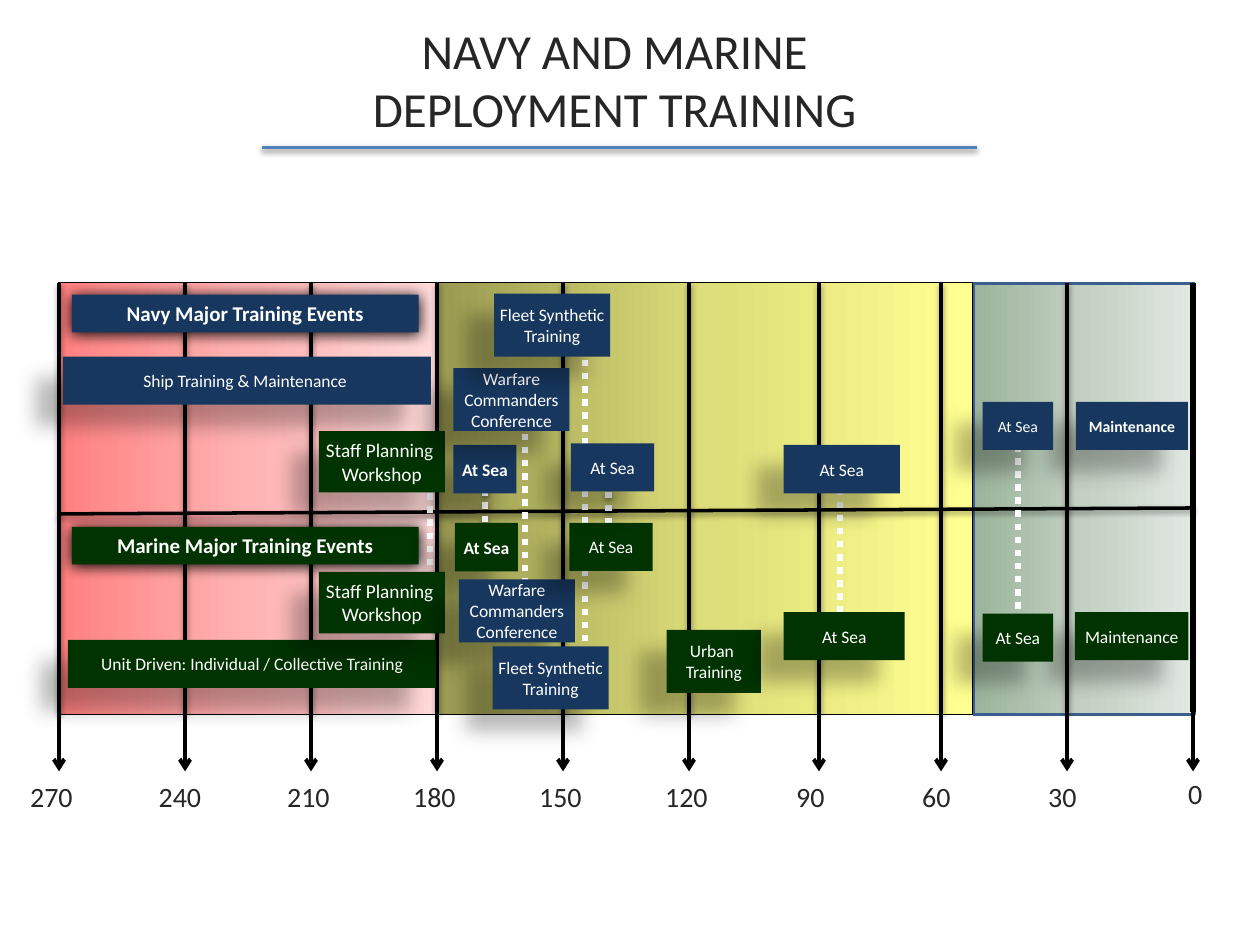
from copy import deepcopy

from lxml.etree import SubElement
from pptx import Presentation
from pptx.dml.color import RGBColor
from pptx.enum.dml import MSO_LINE
from pptx.enum.shapes import MSO_CONNECTOR, MSO_SHAPE
from pptx.enum.text import MSO_ANCHOR as ANCHOR, MSO_AUTO_SIZE as FIT, PP_ALIGN as ALIGN
from pptx.oxml.ns import qn
from pptx.util import Cm, Pt

# Content; all lengths in cm
TITLE = ["NAVY AND MARINE ", "DEPLOYMENT TRAINING "]
NAVY, MARINE = "17375E", "003300"
BLACK, WHITE, INK, RULE = "000000", "FFFFFF", "262626", "4F81BD"

# left, top, width, height, gradient, outline, outline width
PHASES = [
    (19.63, 5.72, 4.45, 8.69, ("9BB49B", "C3D0C3", "E2E8E2"), "3A5F8C", 2),
    (8.84, 5.69, 10.77, 8.71, ("9A9A52", "DDDD79", "FFFF91"), BLACK, 0.75),
    (1.19, 5.69, 7.62, 8.71, ("FF8080", "FFB3B3", "FFDADA"), BLACK, 0.75),
]

# Days before deployment: label, label left
DAYS = [("270", 0.36), ("240", 2.95), ("210", 5.54), ("180", 8.08), ("150", 10.62),
        ("120", 13.16), ("90", 15.8), ("60", 18.34), ("30", 20.88), ("0", 23.7)]
DAY_LEFT, DAY_STEP = 1.19, 2.54
DAY_SHIFT = {"90": 0.08}
LABEL_TOP = {"0": 15.52}

BANNERS = [("Navy Major Training Events", 5.94, NAVY),
           ("Marine Major Training Events", 10.62, MARINE)]

# Navy-Marine links: x, top, bottom, shadow
LINKS = [(9.78, 9.6, 10.87, True), (8.67, 9.68, 11.58, False),
         (12.27, 9.65, 10.92, True), (10.58, 8.48, 11.86, False),
         (11.79, 6.99, 13.13, False), (16.93, 9.32, 12.7, False),
         (20.52, 8.97, 12.34, False)]

STAFF = ["Staff Planning ", "Workshop"]
WARFARE = ["Warfare", "Commanders", "Conference"]
FLEET = ["Fleet Synthetic", "Training"]
SEA, MAINTENANCE = ["At Sea"], ["Maintenance"]

# lines, service colour, left, top, width, height, size, bold
EVENTS = [
    (["Urban ", "Training"], MARINE, 13.44, 12.7, 1.9, 1.27, 10, False),
    (["Unit Driven: Individual / Collective Training"], MARINE,
     1.37, 12.9, 7.42, 0.97, 10, False),
    (MAINTENANCE, NAVY, 21.69, 8.1, 2.26, 0.97, 9, True),
    (MAINTENANCE, MARINE, 21.67, 12.34, 2.29, 0.97, 10, False),
    (SEA, NAVY, 9.14, 8.97, 1.27, 0.98, 10, True),
    (SEA, MARINE, 9.17, 10.54, 1.27, 0.98, 10, True),
    (STAFF, MARINE, 6.43, 8.69, 2.54, 1.24, 11, False),
    (STAFF, MARINE, 6.43, 11.53, 2.54, 1.24, 11, False),
    (WARFARE, NAVY, 9.14, 7.42, 2.34, 1.27, 10, False),
    (WARFARE, NAVY, 9.25, 11.68, 2.34, 1.27, 10, False),
    (FLEET, NAVY, 9.93, 13.03, 2.34, 1.27, 10, False),
    (SEA, MARINE, 11.48, 10.54, 1.68, 0.97, 10, False),
    (SEA, NAVY, 11.51, 8.94, 1.68, 0.97, 10, False),
    (FLEET, NAVY, 9.96, 5.92, 2.34, 1.27, 10, False),
    (SEA, NAVY, 15.8, 8.97, 2.34, 0.98, 10, False),
    (SEA, MARINE, 15.8, 12.34, 2.44, 0.97, 10, False),
    (SEA, NAVY, 19.81, 8.1, 1.42, 0.97, 9, False),
    (SEA, MARINE, 19.81, 12.37, 1.42, 0.97, 10, False),
    (["Ship Training & Maintenance "], NAVY, 1.27, 7.19, 7.42, 0.97, 10, False),
]

# Shadows: opacity %, blur pt, distance pt, angle
LINE_SHADOW = (38, 3.1, 1.6, 90)
BANNER_SHADOW = (100, 8.5, 1, 90)
EVENT_SHADOW = (28, 11.8, 19.7, 141)


def color(hex_value):
    return RGBColor.from_string(hex_value)


def add_shadow(effects, shadow):
    opacity, blur, distance, angle = shadow
    outer = SubElement(effects, qn("a:outerShdw"), blurRad=str(Pt(blur)),
                       dist=str(Pt(distance)), dir=str(angle * 60000),
                       algn="ctr", rotWithShape="0")
    black = SubElement(outer, qn("a:srgbClr"), val=BLACK)
    SubElement(black, qn("a:alpha"), val=str(opacity * 1000))


def write(frame, lines, size, hex_value, align=ALIGN.CENTER, bold=False):
    for index, line in enumerate(lines):
        paragraph = frame.add_paragraph() if index else frame.paragraphs[0]
        paragraph.text = line
        paragraph.alignment = align
        font = paragraph.font
        font.name, font.size, font.bold = "Calibri", Pt(size), bold
        font.color.rgb = color(hex_value)


def add_line(x1, y1, x2, y2, hex_value=BLACK, width=2.0, shadow=None,
             dotted=False, arrow=False):
    connector = slide.shapes.add_connector(
        MSO_CONNECTOR.STRAIGHT, Cm(x1), Cm(y1), Cm(x2), Cm(y2))
    line = connector.line
    line.color.rgb, line.width = color(hex_value), Pt(width)
    if dotted:
        line.dash_style = MSO_LINE.ROUND_DOT  # saved as sysDot
    properties = connector._element.spPr
    if arrow:
        SubElement(properties.find(qn("a:ln")), qn("a:tailEnd"), type="arrow")
    effects = SubElement(properties, qn("a:effectLst"))
    if shadow:
        add_shadow(effects, shadow)


def add_box(left, top, width, height):
    box = slide.shapes.add_shape(
        MSO_SHAPE.RECTANGLE, Cm(left), Cm(top), Cm(width), Cm(height))
    box.shadow.inherit = False
    return box


def add_filled_box(left, top, width, height, hex_value, shadow):
    box = add_box(left, top, width, height)
    box.fill.solid()
    box.fill.fore_color.rgb = color(hex_value)
    box.line.fill.background()
    add_shadow(box._element.spPr.find(qn("a:effectLst")), shadow)
    return box


prs = Presentation()
prs.slide_width, prs.slide_height = Cm(25.4), Cm(19.05)
slide = prs.slides.add_slide(prs.slide_layouts[5])

# Title and its rule
title = slide.shapes.title
title.left, title.top, title.width, title.height = Cm(1.07), Cm(0), Cm(22.86), Cm(3.18)
title.text_frame.auto_size = FIT.NONE
title.text_frame.vertical_anchor = ANCHOR.MIDDLE
write(title.text_frame, TITLE, 28, INK)
add_line(5.28, 2.97, 19.69, 2.97, RULE, shadow=LINE_SHADOW)

# Phase bands
for left, top, width, height, gradient, outline, outline_width in PHASES:
    band = add_box(left, top, width, height)
    band.fill.gradient()
    band.fill.gradient_angle = 0
    first_stop = band._element.spPr.find(qn("a:gradFill")).find(qn("a:gsLst"))[0]
    first_stop.addnext(deepcopy(first_stop))
    for stop, position, shade in zip(band.fill.gradient_stops, (0, 0.5, 1), gradient):
        stop.position, stop.color.rgb = position, color(shade)
    band.line.color.rgb, band.line.width = color(outline), Pt(outline_width)

# Day lines, arrows and labels
for index, (day, label_left) in enumerate(DAYS):
    x = DAY_LEFT + index * DAY_STEP + DAY_SHIFT.get(day, 0)
    is_last = day == "0"
    add_line(x, 5.7, x, 14.36, width=3 if is_last else 2,
             shadow=None if is_last else LINE_SHADOW)
    add_line(x, 14.3, x, 15.55, width=2.25, arrow=True)
    label = slide.shapes.add_textbox(Cm(label_left), Cm(LABEL_TOP.get(day, 15.6)),
                                     Cm(0.42 * (len(day) + 1)), Cm(0.94))
    label.text_frame.word_wrap = True
    label.text_frame.auto_size = FIT.SHAPE_TO_FIT_TEXT
    write(label.text_frame, [day], 16, INK, ALIGN.LEFT)

# Divider between the services
add_line(1.19, 10.36, 24.05, 10.24, shadow=LINE_SHADOW)

# Service banners
for heading, top, service in BANNERS:
    banner = add_filled_box(1.45, top, 6.99, 0.76, service, BANNER_SHADOW)
    banner.text_frame.word_wrap = True
    banner.text_frame.auto_size = FIT.SHAPE_TO_FIT_TEXT
    banner.text_frame.vertical_anchor = ANCHOR.TOP
    write(banner.text_frame, [heading], 12, WHITE, bold=True)

# Links, then the events over their ends
for x, top, bottom, shaded in LINKS:
    add_line(x, top, x, bottom, WHITE, 3.75, LINE_SHADOW if shaded else None, dotted=True)

for lines, service, left, top, width, height, size, bold in EVENTS:
    event = add_filled_box(left, top, width, height, service, EVENT_SHADOW)
    event.text_frame.word_wrap = False
    event.text_frame.vertical_anchor = ANCHOR.MIDDLE
    write(event.text_frame, lines, size, WHITE, bold=bold)

prs.save("out.pptx")
